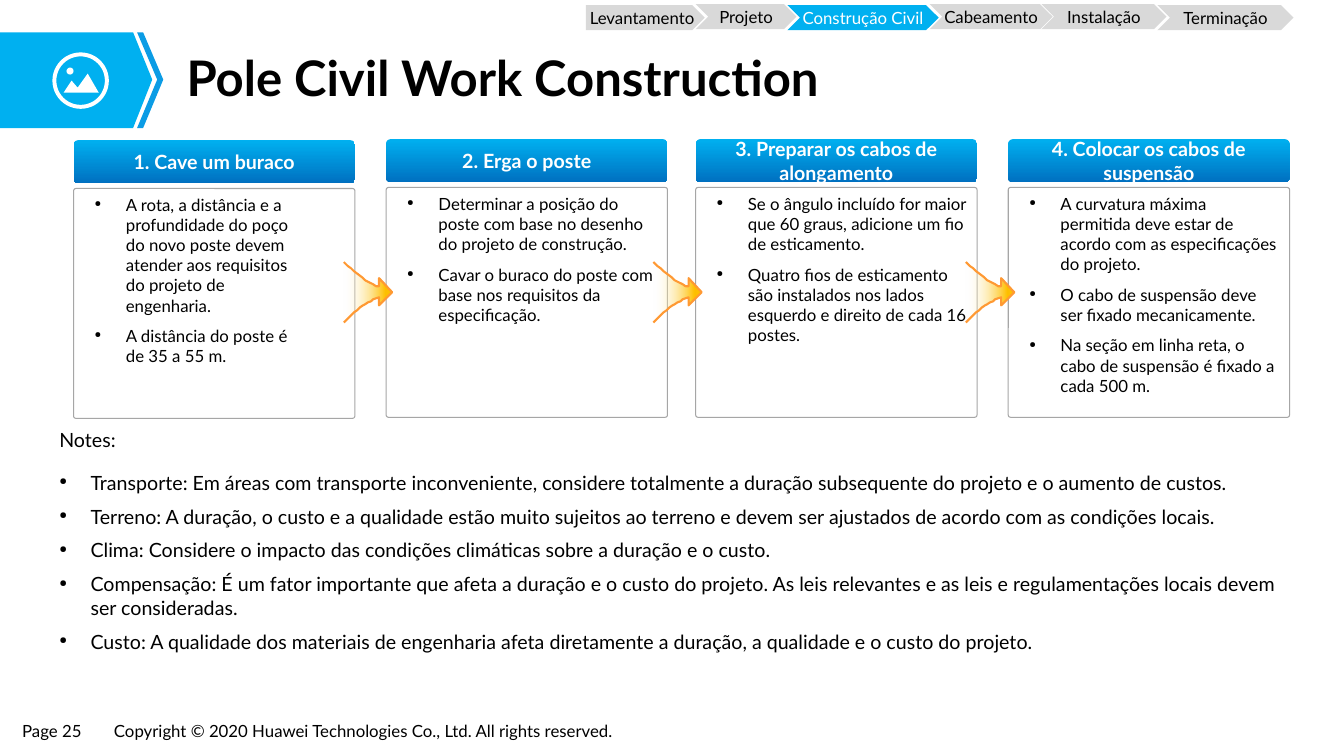
from dataclasses import dataclass
from lxml.etree import SubElement
from pptx import Presentation
from pptx.dml.color import RGBColor as RGB
from pptx.enum.shapes import MSO_SHAPE as Shape
from pptx.enum.text import MSO_ANCHOR as Anchor, PP_ALIGN as Align
from pptx.oxml.ns import qn
from pptx.util import Pt

PX = 9144  # 100 px to the inch


@dataclass(frozen=True)
class Theme:
    font: str = "Lato"
    black: RGB = RGB(0, 0, 0)
    white: RGB = RGB(255, 255, 255)
    cyan: RGB = RGB(0x00, 0xB0, 0xF0)
    stripe: RGB = RGB(0x0B, 0x9C, 0xE5)
    blue: RGB = RGB(0x00, 0x70, 0xC0)
    step: RGB = RGB(0xD9, 0xD9, 0xD9)
    border: RGB = RGB(0xA6, 0xA6, 0xA6)
    gold: RGB = RGB(0xFF, 0xC0, 0x00)
    orange: RGB = RGB(0xFF, 0x99, 0x33)
    title: int = 35
    body: int = 14
    small: int = 12


THEME = Theme()
INDENT = 31

STEPS = [
    ("Levantamento", (581, 5, 118, 25)),
    ("Projeto", (690, 4, 100, 25)),
    ("Construção Civil", (781, 5, 150, 25)),
    ("Cabeamento", (922, 4, 122, 25)),
    ("Instalação", (1033, 4, 124, 25)),
    ("Terminação", (1148, 5, 135, 25)),
]
CURRENT_STEP = "Construção Civil"

# heading, left and top of the card, width of its text, bullets
CARDS = [
    ("1. Cave um buraco", 73, 139, 225, [
        "A rota, a distância e a profundidade do poço do novo poste devem "
        "atender aos requisitos do projeto de engenharia.",
        "A distância do poste é de 35 a 55 m."]),
    ("2. Erga o poste", 383, 138, 268, [
        "Determinar a posição do poste com base no desenho do projeto de construção.",
        "Cavar o buraco do poste com base nos requisitos da especificação."]),
    ("3. Preparar os cabos de alongamento", 690, 138, 268, [
        "Se o ângulo incluído for maior que 60 graus, adicione um fio de esticamento.",
        "Quatro fios de esticamento são instalados nos lados esquerdo e direito "
        "de cada 16 postes."]),
    ("4. Colocar os cabos de suspensão", 1000, 138, 268, [
        "A curvatura máxima permitida deve estar de acordo com as especificações do projeto.",
        "O cabo de suspensão deve ser fixado mecanicamente.",
        "Na seção em linha reta, o cabo de suspensão é fixado a cada 500 m."]),
]
NOTES = [
    "Transporte: Em áreas com transporte inconveniente, considere totalmente a duração "
    "subsequente do projeto e o aumento de custos.",
    "Terreno: A duração, o custo e a qualidade estão muito sujeitos ao terreno e devem "
    "ser ajustados de acordo com as condições locais.",
    "Clima: Considere o impacto das condições climáticas sobre a duração e o custo.",
    "Compensação: É um fator importante que afeta a duração e o custo do projeto. As leis "
    "relevantes e as leis e regulamentações locais devem ser consideradas.",
    "Custo: A qualidade dos materiais de engenharia afeta diretamente a duração, "
    "a qualidade e o custo do projeto.",
]


def apply(target, values):
    for name, value in values.items():
        setattr(target, name, value)


def paint(shape, fill=None, line=None, width=0.75):
    shape.shadow.inherit = False
    if fill is None:
        shape.fill.background()
    else:
        shape.fill.solid()
        shape.fill.fore_color.rgb = fill
    if line is None:
        shape.line.fill.background()
    else:
        shape.line.color.rgb = line
        shape.line.width = Pt(width)
    return shape


def shade(shape, stops, angle):
    """Fill with two (position, colour) stops."""
    shape.fill.gradient()
    shape.fill.gradient_angle = angle
    for stop, (position, colour) in zip(shape.fill.gradient_stops, stops):
        stop.position = position
        stop.color.rgb = colour


def add_shape(page, kind, box, **look):
    return paint(page.shapes.add_shape(kind, *(n * PX for n in box)), **look)


def add_outline(page, points, close=True, **look):
    builder = page.shapes.build_freeform(*points[0], scale=PX)
    builder.add_line_segments(points[1:], close=close)
    return paint(builder.convert_to_shape(), **look)


def add_bullet(para):
    props = para._p.get_or_add_pPr()
    props.set("marL", str(INDENT * PX))
    props.set("indent", str(-INDENT * PX))
    SubElement(props, qn("a:buSzPct")).set("val", "50000")
    SubElement(props, qn("a:buChar")).set("char", "●")


def write(frame, lines, size, colour=THEME.black, bold=False, bulleted=(), para_format=None, **layout):
    """Write one paragraph per line; bulleted holds the indexes that get a bullet."""
    apply(frame, {"word_wrap": True, **layout})
    for index, line in enumerate(lines):
        para = frame.add_paragraph() if index else frame.paragraphs[0]
        if index:
            para.space_before = Pt(7.4)
        apply(para, para_format or {})
        if index in bulleted:
            add_bullet(para)
        span = para.add_run()
        span.text = line
        apply(span.font, {"name": THEME.font, "size": Pt(size), "bold": bold})
        span.font.color.rgb = colour
    return frame


def add_text(page, box, lines, size, **style):
    frame = page.shapes.add_textbox(*(n * PX for n in box)).text_frame
    return write(frame, lines, size, **style)


def add_steps(page):
    margins = dict.fromkeys(["margin_left", "margin_top", "margin_right", "margin_bottom"], 0)
    for index, (label, box) in enumerate(STEPS):
        current = label == CURRENT_STEP
        step = add_shape(page, Shape.CHEVRON if index else Shape.PENTAGON, box,
                         fill=THEME.cyan if current else THEME.step)
        write(step.text_frame, [label], THEME.small,
              colour=THEME.white if current else THEME.black,
              para_format={"alignment": Align.CENTER},
              vertical_anchor=Anchor.MIDDLE, **margins)


def add_banner(page, left, top, height):
    middle, bottom = top + height // 2, top + height
    add_outline(page, [(left, top), (left + 132, top), (left + 151, middle),
                       (left + 132, bottom), (left, bottom)], fill=THEME.cyan)
    add_outline(page, [(left + 136, top), (left + 142, top), (left + 162, middle),
                       (left + 142, bottom), (left + 136, bottom), (left + 156, middle)],
                fill=THEME.stripe)
    ring = add_shape(page, Shape.DONUT, (left + 52, top + 20, 56, 56), fill=THEME.white)
    ring.adjustments[0] = 0.07
    add_shape(page, Shape.OVAL, (left + 66, top + 35, 7, 7), fill=THEME.white)
    mountains = [(63, 60), (71, 48), (77, 55), (87, 41), (98, 60)]
    add_outline(page, [(left + x, top + y) for x, y in mountains], fill=THEME.white)
    add_text(page, (left + 174, top + 13, 1075, 70), ["Pole Civil Work Construction"],
             THEME.title, bold=True, para_format={"line_spacing": 0.9},
             vertical_anchor=Anchor.MIDDLE, margin_left=11 * PX, margin_right=11 * PX)


def add_card(page, left, top, heading, text_width, bullets):
    add_text(page, (left + 11, top + 49, text_width, 219), bullets, THEME.small,
             bulleted=range(len(bullets)))
    header = add_shape(page, Shape.ROUNDED_RECTANGLE, (left, top, 279, 43), fill=THEME.cyan)
    header.adjustments[0] = 0.11
    shade(header, [(0, THEME.cyan), (1, THEME.blue)], 270)
    write(header.text_frame, [heading], THEME.body, colour=THEME.white, bold=True,
          para_format={"alignment": Align.CENTER}, vertical_anchor=Anchor.MIDDLE)
    frame = add_shape(page, Shape.ROUNDED_RECTANGLE, (left, top + 48, 279, 228),
                      line=THEME.border)
    frame.adjustments[0] = 0.01


def curve(start, first, second, end, pieces=12):
    """Points along a cubic curve."""
    def at(t):
        weights = ((1 - t) ** 3, 3 * t * (1 - t) ** 2, 3 * t * t * (1 - t), t ** 3)
        return tuple(sum(w * p[axis] for w, p in zip(weights, (start, first, second, end)))
                     for axis in (0, 1))
    return [at(i / pieces) for i in range(pieces + 1)]


def add_arrow(page, left, top):
    lower = curve((0, 60), (15, 44), (23, 40), (35, 35))
    upper = curve((35, 24), (25, 24), (0, 0), (0, 0))
    points = lower + [(35, 43), (48, 30), (35, 16)] + upper
    arrow = add_outline(page, [(left + x, top + y) for x, y in points], close=False,
                        fill=THEME.gold, line=THEME.orange, width=1.5)
    shade(arrow, [(0, THEME.white), (0.85, THEME.gold)], 0)
    faded = next(arrow.element.iter(qn("a:srgbClr")))
    SubElement(faded, qn("a:alpha")).set("val", "0")


def add_notes(page, box):
    frame = add_text(page, box, ["Notes:", *NOTES], THEME.body,
                     bulleted=range(1, len(NOTES) + 1))
    frame.paragraphs[0].space_after = Pt(6)


def add_footer(page, top):
    for left, width, line in [
        (13, 81, "Page 25"),
        (104, 541, "Copyright © 2020 Huawei Technologies Co., Ltd. All rights reserved."),
    ]:
        add_text(page, (left, top, width, 29), [line], THEME.small, word_wrap=False,
                 margin_left=9 * PX, margin_top=4 * PX)


def main():
    deck = Presentation()
    apply(deck, {"slide_width": 1333 * PX, "slide_height": 750 * PX})
    page = deck.slides.add_slide(deck.slide_layouts[6])
    add_footer(page, 711)
    add_banner(page, 0, 32, 95)
    add_notes(page, (49, 420, 1230, 237))
    for heading, left, top, text_width, bullets in CARDS:
        add_card(page, left, top, heading, text_width, bullets)
    for _, left, top, *_ in CARDS[1:]:
        add_arrow(page, left - 42, top + 122)
    add_steps(page)
    deck.save("out.pptx")


if __name__ == "__main__":
    main()
